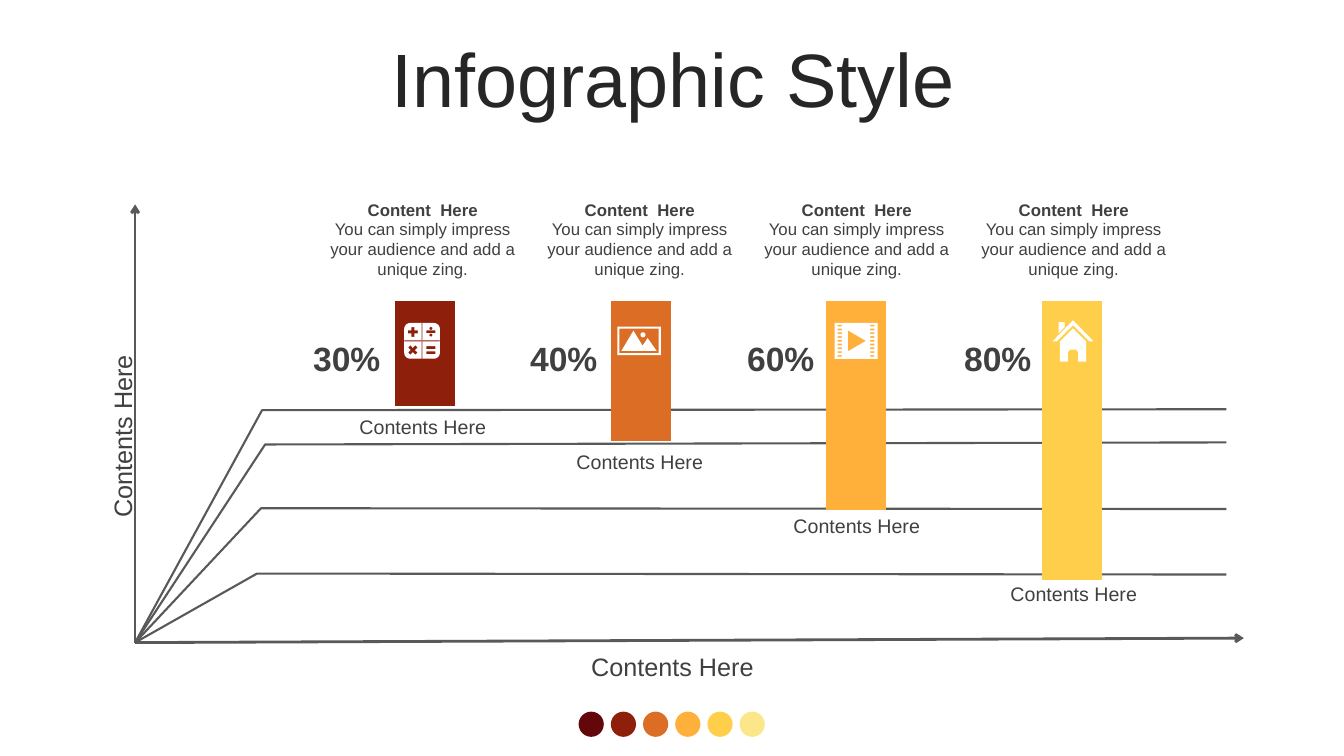
import math

from lxml import etree
from pptx import Presentation
from pptx.chart.data import CategoryChartData
from pptx.dml.color import RGBColor
from pptx.enum.chart import XL_CHART_TYPE
from pptx.enum.shapes import MSO_CONNECTOR, MSO_SHAPE
from pptx.enum.text import MSO_ANCHOR, PP_ALIGN
from pptx.oxml.ns import qn
from pptx.util import Pt

STACKED = XL_CHART_TYPE.COLUMN_STACKED_100
STRAIGHT = MSO_CONNECTOR.STRAIGHT
OVAL = MSO_SHAPE.OVAL
TOP, MIDDLE = MSO_ANCHOR.TOP, MSO_ANCHOR.MIDDLE
CENTER = PP_ALIGN.CENTER

COLORS = {
    "title": "262626", "text": "404040", "line": "595959", "white": "FFFFFF",
    "wine": "63070A", "red": "8E1F0B", "rust": "DB6D25",
    "orange": "FFB03B", "gold": "FFCE4B", "cream": "FCE68A",
}
PALETTE = ["wine", "red", "rust", "orange", "gold", "cream"]
BARS = PALETTE[1:5]
PERCENTS = [30, 40, 60, 80]
LABEL_TOPS = [293, 318.2, 363.6, 411.8]
RAILS = [(187.2, 293, 292.3), (189.4, 317.5, 316), (186.5, 363, 363.6), (183.6, 409.7, 410.4)]
PITCH = 155
FORMATS = {
    "title": {"size": Pt(54), "bold": False},
    "heading": {"size": Pt(12), "bold": True},
    "body": {"size": Pt(12), "bold": False},
    "label": {"size": Pt(14), "bold": False},
    "axis": {"size": Pt(18), "bold": False},
    "percent": {"size": Pt(24), "bold": True},
}


def color(name):
    return RGBColor.from_string(COLORS[name])


def add_text(page, box, text, style, anchor=TOP, rotation=0, spacing=1.0):
    shape = page.shapes.add_textbox(*map(Pt, box))
    shape.rotation = rotation
    frame = shape.text_frame
    frame.word_wrap = True
    frame.vertical_anchor = anchor
    para = frame.paragraphs[0]
    para.alignment = CENTER
    para.line_spacing = spacing
    span = para.add_run()
    span.text = text
    for key, value in {"name": "Arial", **FORMATS[style]}.items():
        setattr(span.font, key, value)
    span.font.color.rgb = color("title" if style == "title" else "text")


def add_outline(page, left, top, contours, closed=True):
    builder = None
    for contour in contours:
        points = [(x * 100, y * 100) for x, y in contour]
        if builder is None:
            builder = page.shapes.build_freeform(*points[0], scale=Pt(0.01))
        else:
            builder.move_to(*points[0])
        builder.add_line_segments(points[1:], close=closed)
    shape = builder.convert_to_shape(Pt(left), Pt(top))
    shape.shadow.inherit = False
    return shape


def rectangle(x, y, width, height):
    return [(x, y), (x + width, y), (x + width, y + height), (x, y + height)]


def arc(x, y, radius, start=0, sweep=360, steps=16):
    angles = [math.radians(start + sweep * step / steps) for step in range(steps + 1)]
    return [(x + radius * math.cos(angle), y + radius * math.sin(angle)) for angle in angles]


def cross(x, y, arm, half, turn):
    cos, sin = math.cos(math.radians(turn)), math.sin(math.radians(turn))
    quarter = [(half, -half), (arm, -half), (arm, half)]
    points = []
    for _ in range(4):
        points += quarter
        quarter = [(-b, a) for a, b in quarter]
    return [(x + a * cos - b * sin, y + a * sin + b * cos) for a, b in points]


def calculator_icon():
    side, radius = 25.5, 4.3
    far = side - radius
    corners = [(far, far, 0), (radius, far, 90), (radius, radius, 180), (far, radius, 270)]
    body = [point for x, y, start in corners for point in arc(x, y, radius, start, 90, 6)]
    seams = [rectangle(12.4, 0, 0.6, side), rectangle(0, 12.5, 12.4, 0.6),
             rectangle(13, 12.5, 12.5, 0.6)]
    bars = [rectangle(15.8, y, 6.5, 2.1) for y in (5.2, 16.6, 20.2)]
    dots = [arc(19.1, y, 1.1) for y in (3.9, 8.6)]
    signs = [cross(6.2, 6.4, 3.5, 1.1, 0), cross(6.2, 19.3, 3.7, 1.1, 45)]
    return side, side, [body, *seams, *bars, *dots, *signs]


def landscape_icon():
    hills = [(11.5, 2.9), (18, 13.7), (21.6, 8.2), (28, 17.3), (2.9, 17.3)]
    frame = [rectangle(0, 0, 31, 20.4), rectangle(1.5, 1.5, 28, 17.4)]
    return 31, 20.4, [*frame, hills, arc(18.3, 5.9, 1.8)]


def film_icon():
    holes = [rectangle(x, 1.3 + 2.7 * row, 3, 1.2) for x in (2.2, 25.4) for row in range(9)]
    play = [(9.4, 5.2), (9.4, 20.3), (22.3, 12.8)]
    return 30.6, 25.6, [rectangle(0, 0, 30.6, 25.6), *holes, play]


def house_icon():
    roof = [(0, 15), (14.6, 0), (29.2, 15), (26.2, 15), (14.6, 3.6), (3, 15)]
    chimney = [(4.3, 1.4), (8.6, 1.4), (8.6, 5), (4.3, 9.4)]
    walls = [(14.6, 5.8), (24, 15.2), (24, 29.5), (18.2, 29.5), (18.2, 22.6), (16.6, 20.9),
             (12.6, 20.9), (11, 22.6), (11, 29.5), (5.2, 29.5), (5.2, 15.2)]
    return 29.2, 29.5, [roof, chimney, walls]


def add_icon(page, center_x, center_y, icon):
    width, height, contours = icon
    shape = add_outline(page, center_x - width / 2, center_y - height / 2, contours)
    shape.fill.solid()
    shape.fill.fore_color.rgb = color("white")
    shape.line.fill.background()


def add_axis(page, start, end):
    axis = page.shapes.add_connector(STRAIGHT, *map(Pt, start + end))
    axis.line.color.rgb = color("line")
    axis.line.width = Pt(2)
    properties = axis._element.spPr
    etree.SubElement(properties.find(qn("a:ln")), qn("a:tailEnd"), type="arrow")
    etree.SubElement(properties, qn("a:effectLst"))


def add_axes(page, left, top, right, bottom):
    add_axis(page, (left, bottom), (left, top))
    add_axis(page, (left, bottom), (right, bottom - 3.2))
    for corner_x, corner_y, end_y in RAILS:
        route = [(left, bottom), (corner_x, corner_y), (right - 12.5, end_y)]
        rail = add_outline(page, 0, 0, [route], closed=False)
        rail.fill.background()
        rail.line.color.rgb = color("line")
        rail.line.width = Pt(1.5)
    add_text(page, (left - 79.9, 301, 134, 21.6), "Contents Here", "axis", rotation=270)
    add_text(page, (left + 316.8, bottom + 2.5, 134, 21.6), "Contents Here", "axis")


def clear_background(chart):
    space = chart._chartSpace
    chart_part = space.find(qn("c:chart"))
    plot_area = chart_part.find(qn("c:plotArea"))
    for old in plot_area.findall(qn("c:layout")):
        plot_area.remove(old)
    layout = etree.Element(qn("c:layout"))
    manual = etree.SubElement(layout, qn("c:manualLayout"))
    settings = {"layoutTarget": "inner", "xMode": "edge", "yMode": "edge",
                "x": "0.02", "y": "0.02", "w": "0.96", "h": "0.96"}
    for key, value in settings.items():
        etree.SubElement(manual, qn("c:" + key), val=value)
    plot_area.insert(0, layout)
    for place in (chart_part.addnext, plot_area.append):
        properties = etree.Element(qn("c:spPr"))
        etree.SubElement(properties, qn("a:noFill"))
        line = etree.SubElement(properties, qn("a:ln"))
        etree.SubElement(line, qn("a:noFill"))
        place(properties)


def add_bars(page, box):
    data = CategoryChartData()
    data.categories = ["1", "2", "3", "4"]
    data.add_series("Series 1", [100 - percent for percent in PERCENTS])
    data.add_series("Series 2", PERCENTS)
    chart = page.shapes.add_chart(STACKED, *map(Pt, box), data).chart
    chart.has_legend = False
    chart.has_title = False
    for key, value in {"name": "Arial", "size": Pt(18)}.items():
        setattr(chart.font, key, value)
    for axis in (chart.category_axis, chart.value_axis):
        axis.has_major_gridlines = False
        axis.visible = False
    plot = chart.plots[0]
    for key, value in {"gap_width": 260, "overlap": 100, "vary_by_categories": False}.items():
        setattr(plot, key, value)
    rest, share = plot.series
    rest.format.fill.background()
    share.format.fill.solid()
    share.format.fill.fore_color.rgb = color("rust")
    for index, name in enumerate(BARS):
        fill = share.points[index].format.fill
        fill.solid()
        fill.fore_color.rgb = color(name)
    clear_background(chart)


def add_column(page, left, top, percent, label_top, icon):
    add_text(page, (left + 6, top + 13.6, 160, 51), "You can simply impress your audience and add a unique zing.", "body")
    add_text(page, (left + 5, top, 162, 21.6), "Content  Here", "heading")
    add_text(page, (left + 19, label_top, 134, 24.5), "Contents Here", "label")
    add_text(page, (left, top + 98.6, 63.4, 36), f"{percent}%", "percent", MIDDLE)
    add_icon(page, left + 85.5, top + 104.5, icon)


def add_palette(page, left, top):
    for index, name in enumerate(PALETTE):
        dot = page.shapes.add_shape(OVAL, Pt(left + 23 * index), Pt(top), Pt(18), Pt(18))
        dot.shadow.inherit = False
        dot.fill.solid()
        dot.fill.fore_color.rgb = color(name)
        dot.line.fill.background()


def main():
    deck = Presentation()
    deck.slide_width, deck.slide_height = Pt(960), Pt(540)
    page = deck.slides.add_slide(deck.slide_layouts[6])
    add_palette(page, 413.3, 508.3)
    add_text(page, (25.2, 30.6, 911.5, 56.9), "Infographic Style", "title", MIDDLE, spacing=0.9)
    add_axes(page, 96.5, 146, 888.5, 459)
    add_bars(page, (213.8, 210.2, 641.5, 259.2))
    icons = [calculator_icon(), landscape_icon(), film_icon(), house_icon()]
    for index, parts in enumerate(zip(PERCENTS, LABEL_TOPS, icons)):
        add_column(page, 216 + PITCH * index, 139, *parts)
    deck.save("out.pptx")


if __name__ == "__main__":
    main()
